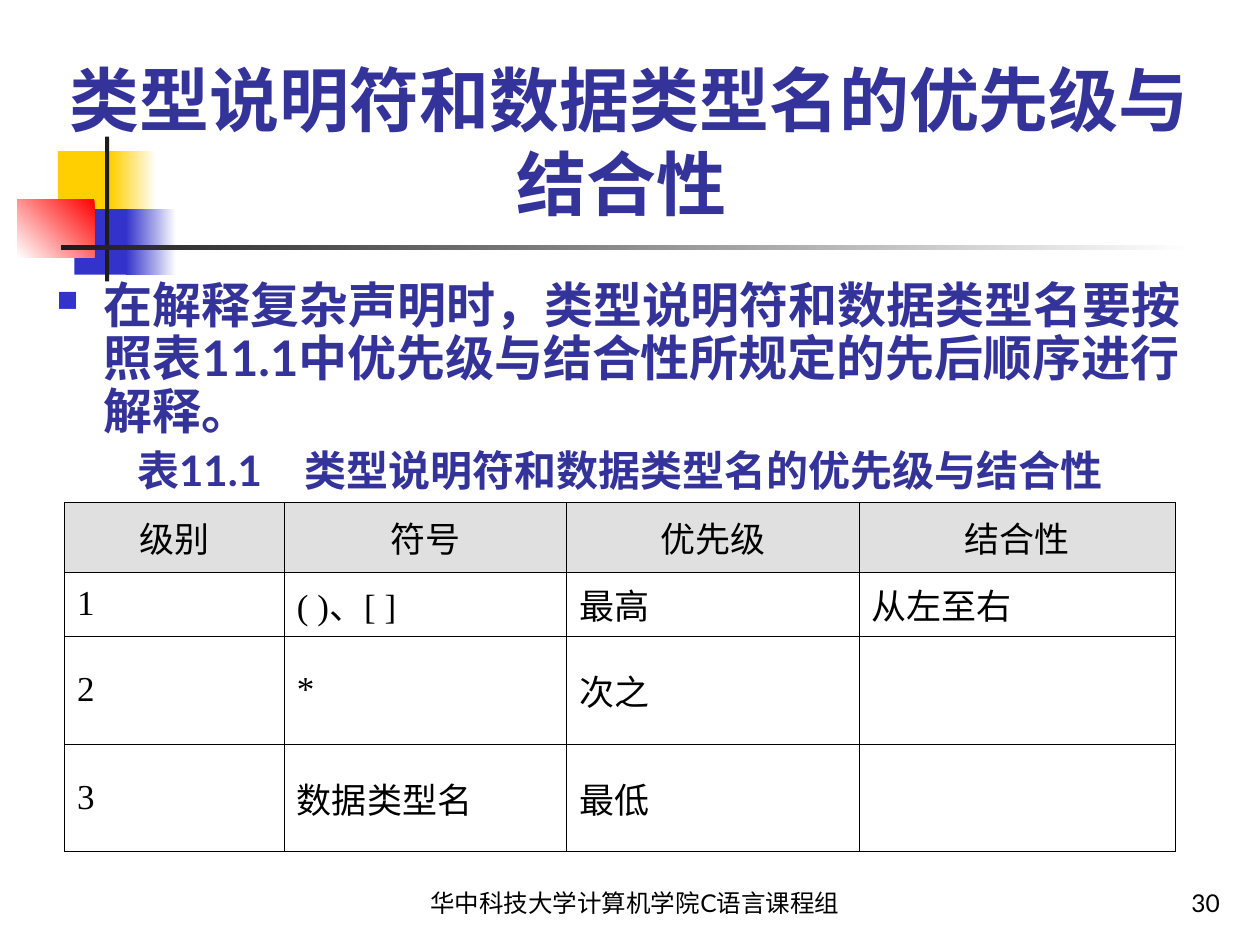
"""Build the slide on precedence and associativity of C type specifiers."""
from dataclasses import dataclass
from typing import Optional

from lxml.etree import SubElement
from pptx import Presentation
from pptx.dml.color import RGBColor
from pptx.enum.shapes import MSO_SHAPE as Shape
from pptx.enum.text import MSO_ANCHOR as Anchor, PP_ALIGN as Align
from pptx.oxml import parse_xml
from pptx.oxml.ns import nsdecls, qn
from pptx.util import Pt

WHITE = RGBColor(0xFF, 0xFF, 0xFF)
BLACK = RGBColor(0, 0, 0)
INK = RGBColor(0x1C, 0x1C, 0x1C)
YELLOW = RGBColor(0xFF, 0xCF, 0x01)
BLUE = RGBColor(0x33, 0x33, 0xCC)
RED = RGBColor(0xFF, 0, 0)
NAVY = RGBColor(0x33, 0x33, 0x99)
HEADER_GRAY = RGBColor(0xE0, 0xE0, 0xE0)
CJK_FONT = "Noto Sans CJK SC"


@dataclass(frozen=True)
class Box:
    left: float
    top: float
    width: float
    height: float

    def lengths(self) -> tuple:
        return tuple(Pt(v) for v in (self.left, self.top, self.width, self.height))


@dataclass(frozen=True)
class Block:
    box: Box
    start: RGBColor
    end: Optional[RGBColor] = None
    angle: float = 180


@dataclass(frozen=True)
class Line:
    text: str
    size: float
    font: str = "Lato"
    color: RGBColor = BLACK
    bold: bool = False
    align: Align = Align.LEFT
    spacing: Optional[float] = None
    space_before: float = 0
    bulleted: bool = False


BLOCKS = [
    Block(Box(33.1, 86.4, 34.6, 37.4), YELLOW),
    Block(Box(63.4, 86.4, 25.9, 37.4), WHITE, YELLOW),
    Block(Box(42.5, 119.5, 33.1, 37.4), BLUE),
    Block(Box(72, 119.5, 28.8, 37.4), WHITE, BLUE),
    Block(Box(10, 113.8, 44, 33.1), RED, WHITE, 225),
    Block(Box(60, 78, 2.4, 82.8), INK),
    Block(Box(34.6, 140.2, 648, 2.4), WHITE, INK),
]
TITLE = Line("类型说明符和数据类型名的优先级与结合性 ", 40, CJK_FONT, NAVY, True, Align.CENTER)
BODY = [
    Line("在解释复杂声明时，类型说明符和数据类型名要按照表11.1中优先级与结合性所规定的先后顺序进行解释。",
         28, color=NAVY, bold=True, spacing=0.9, bulleted=True),
    Line("表11.1\u3000类型说明符和数据类型名的优先级与结合性 ".replace("\u3000", "　"),
         24, color=NAVY, bold=True, align=Align.CENTER, spacing=0.9, space_before=6),
]
FOOTER = Line("华中科技大学计算机学院C语言课程组", 14, align=Align.CENTER)
NUMBER = Line("30", 14, align=Align.RIGHT)

TABLE_BOX = Box(36.9, 287.2, 634.8, 199.6)
COLUMN_WIDTHS = [125.6, 161.3, 167.2, 180.7]
ROW_HEIGHTS = [39.6, 36.6, 61.7, 61.7]
ROWS = [
    ["级别", "符号", "优先级", "结合性"],
    ["1", "( )、[ ]", "最高", "从左至右"],
    ["2", "*", "次之", ""],
    ["3", "数据类型名", "最低", ""],
]


def draw_block(slide, block: Block) -> None:
    shape = slide.shapes.add_shape(Shape.RECTANGLE, *block.box.lengths())
    shape.shadow.inherit = False
    shape.line.fill.background()
    if block.end is None:
        shape.fill.solid()
        shape.fill.fore_color.rgb = block.start
        return
    shape.fill.gradient()
    shape.fill.gradient_angle = block.angle
    for stop, color in zip(shape.fill.gradient_stops, (block.start, block.end)):
        stop.color.rgb = color


def add_bullet(paragraph) -> None:
    properties = paragraph._p.get_or_add_pPr()
    properties.set("marL", str(Pt(27)))
    properties.set("indent", str(-Pt(27)))
    color = SubElement(properties, qn("a:buClr"))
    SubElement(color, qn("a:srgbClr"), val=str(BLUE))
    SubElement(properties, qn("a:buSzPct"), val="60000")
    SubElement(properties, qn("a:buChar"), char="■")


def write_line(paragraph, line: Line) -> None:
    paragraph.text = line.text
    paragraph.alignment = line.align
    if line.spacing:
        paragraph.line_spacing = line.spacing
    if line.space_before:
        paragraph.space_before = Pt(line.space_before)
    if line.bulleted:
        add_bullet(paragraph)
    font = paragraph.font
    font.size, font.bold, font.name = Pt(line.size), line.bold, line.font
    font.color.rgb = line.color
    SubElement(font._rPr, qn("a:ea"), typeface=CJK_FONT)


def draw_text(slide, box: Box, lines: list[Line], anchor: Anchor) -> None:
    frame = slide.shapes.add_textbox(*box.lengths()).text_frame
    frame.word_wrap = True
    frame.vertical_anchor = anchor
    for index, line in enumerate(lines):
        write_line(frame.add_paragraph() if index else frame.paragraphs[0], line)


def add_borders(cell) -> None:
    properties = cell._tc.get_or_add_tcPr()
    for side in ("lnL", "lnR", "lnT", "lnB"):
        properties.append(parse_xml(
            f'<a:{side} {nsdecls("a")} w="{Pt(0.45)}"><a:solidFill>'
            f'<a:srgbClr val="{BLACK}"/></a:solidFill></a:{side}>'))


def draw_table(slide) -> None:
    table = slide.shapes.add_table(len(ROWS), len(ROWS[0]), *TABLE_BOX.lengths()).table
    table.first_row = table.horz_banding = False
    for column, width in zip(table.columns, COLUMN_WIDTHS):
        column.width = Pt(width)
    for row_index, (row, height) in enumerate(zip(table.rows, ROW_HEIGHTS)):
        row.height = Pt(height)
        header = row_index == 0
        for cell, text in zip(row.cells, ROWS[row_index]):
            cell.vertical_anchor = Anchor.MIDDLE
            add_borders(cell)
            if header:
                cell.fill.solid()
                cell.fill.fore_color.rgb = HEADER_GRAY
            else:
                cell.fill.background()
            if text:
                write_line(cell.text_frame.paragraphs[0], Line(
                    text, 20, "Arial" if header else "Times New Roman",
                    align=Align.CENTER if header else Align.LEFT))


def main() -> None:
    presentation = Presentation()
    presentation.slide_width, presentation.slide_height = Pt(720), Pt(540)
    slide = presentation.slides.add_slide(presentation.slide_layouts[6])
    for block in BLOCKS:
        draw_block(slide, block)
    draw_text(slide, Box(25.2, 16.6, 668.9, 115.2), [TITLE], Anchor.BOTTOM)
    draw_text(slide, Box(25.2, 157, 663.1, 130.3), BODY, Anchor.TOP)
    draw_table(slide)
    draw_text(slide, Box(190, 491.8, 345.6, 36), [FOOTER], Anchor.BOTTOM)
    draw_text(slide, Box(554.4, 491.8, 149.8, 36), [NUMBER], Anchor.BOTTOM)
    presentation.save("out.pptx")


if __name__ == "__main__":
    main()
